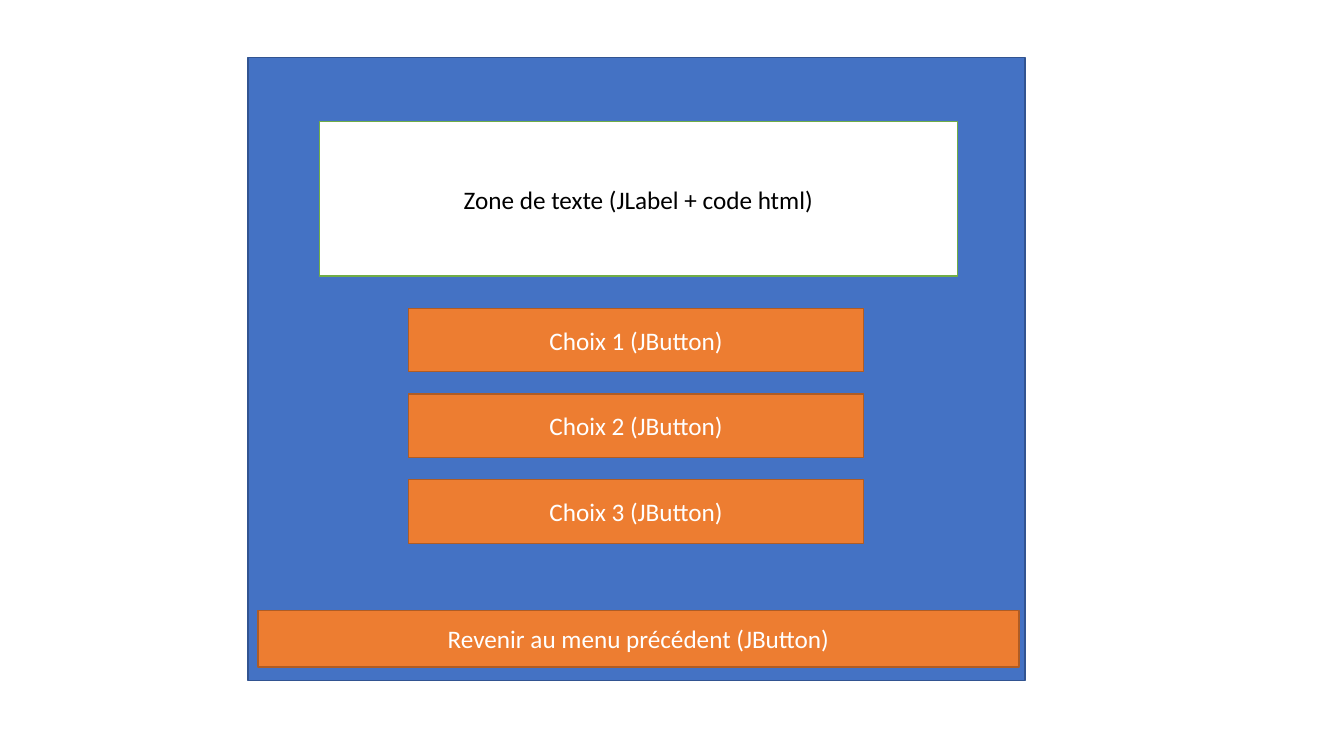
"""Build the wireframe slide of a choice screen made of Swing components."""
import pptx
import pptx.dml.color
import pptx.enum.shapes
import pptx.enum.text
import pptx.util
from pptx.util import Cm

COLOURS = {
    "panel": "4472C4", "panel_line": "325491",
    "label": "FFFFFF", "label_line": "70AD47", "label_text": "000000",
    "button": "ED7D31", "button_line": "AF5C24", "button_text": "FFFFFF",
}


class Wireframe:
    """Hold the style and the current slide, and draw its components."""

    def __init__(self, slide):
        self.slide = slide
        self.line_width = pptx.util.Pt(1)
        self.font_format = {"name": "Calibri", "size": pptx.util.Pt(18)}
        self.frame_format = {
            "word_wrap": True,
            "vertical_anchor": pptx.enum.text.MSO_ANCHOR.MIDDLE,
        }

    def colour(self, name):
        """Return the named colour."""
        return pptx.dml.color.RGBColor.from_string(COLOURS[name])

    def box(self, kind, left, top, width, height):
        """Draw a rectangle in the colours of its kind."""
        shape = self.slide.shapes.add_shape(
            pptx.enum.shapes.MSO_SHAPE.RECTANGLE,
            Cm(left), Cm(top), Cm(width), Cm(height))
        shape.shadow.inherit = False
        shape.fill.solid()
        shape.fill.fore_color.rgb = self.colour(kind)
        shape.line.color.rgb = self.colour(f"{kind}_line")
        shape.line.width = self.line_width
        return shape

    def text_box(self, kind, text, *place):
        """Draw a rectangle with centred text."""
        frame = self.box(kind, *place).text_frame
        for name, value in self.frame_format.items():
            setattr(frame, name, value)
        paragraph = frame.paragraphs[0]
        paragraph.alignment = pptx.enum.text.PP_ALIGN.CENTER
        run = paragraph.add_run()
        run.text = text
        for name, value in self.font_format.items():
            setattr(run.font, name, value)
        run.font.color.rgb = self.colour(f"{kind}_text")

    def label(self, text, *place):
        """Draw a text label."""
        self.text_box("label", text, *place)

    def button(self, text, *place):
        """Draw a button, naming its component after the text."""
        self.text_box("button", f"{text} (JButton)", *place)


presentation = pptx.Presentation()
presentation.slide_width = Cm(33.87)
presentation.slide_height = Cm(19.05)
wireframe = Wireframe(presentation.slides.add_slide(presentation.slide_layouts[6]))

wireframe.box("panel", 6.25, 1.45, 19.58, 15.7)
wireframe.label("Zone de texte (JLabel + code html)", 8.05, 3.07, 16.08, 3.89)
choice_top, choice_step = 7.77, 2.16
for index in range(3):
    wireframe.button(f"Choix {index + 1}", 10.29, choice_top + index * choice_step, 11.48, 1.6)
wireframe.button("Revenir au menu précédent", 6.5, 15.39, 19.18, 1.42)

presentation.save("out.pptx")
